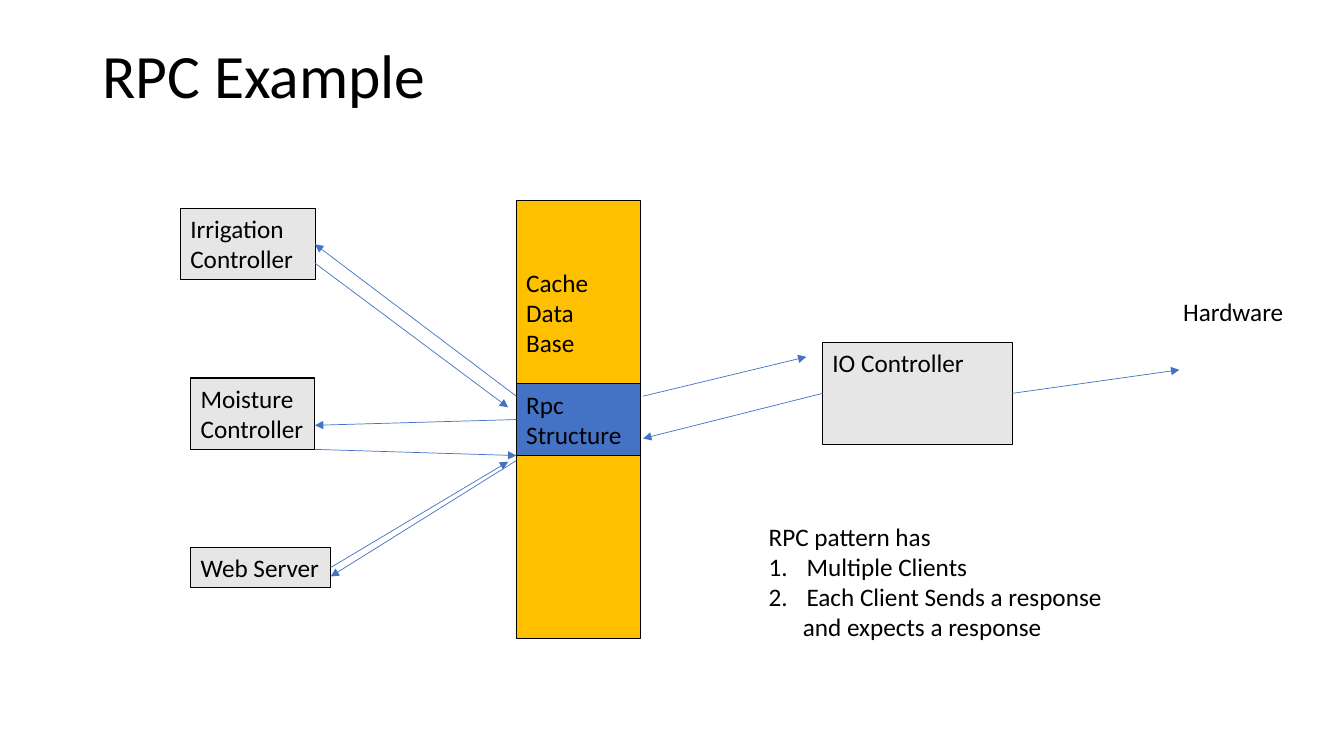
"""Build the RPC example slide: clients, shared database, controller and hardware."""
from lxml import etree
from pptx import Presentation
from pptx.dml.color import RGBColor
from pptx.enum import shapes, text
from pptx.oxml.ns import qn
from pptx.util import Pt

BLACK, GREY, GOLD, BLUE = "000000", "E7E6E6", "FFC000", "4472C4"


def paint(color, code):
    color.rgb = RGBColor.from_string(code)


def write(frame, lines, size=18, top=3.6):
    frame.word_wrap = True
    frame.vertical_anchor = text.MSO_ANCHOR.TOP
    frame.margin_top, frame.margin_right = Pt(top), 0
    frame.text = "\n".join(lines)
    for par in frame.paragraphs:
        par.alignment = text.PP_ALIGN.LEFT
        par.font.name, par.font.size = "Calibri", Pt(size)
        paint(par.font.color, BLACK)


deck = Presentation()
deck.slide_width, deck.slide_height = Pt(960), Pt(540)
slide = deck.slides.add_slide(deck.slide_layouts[6])

labels = [
    (66, 28.8, 828, 104.4, 44, ["RPC Example"]),
    (542, 368.6, 270, 94.3, 18, [
        "RPC pattern has", "Multiple Clients",
        "Each Client Sends a response", "and expects a response"]),
    (838, 208.1, 92, 28.8, 18, ["Hardware"]),
]
for x, y, w, h, size, lines in labels:
    label = slide.shapes.add_textbox(Pt(x), Pt(y), Pt(w), Pt(h))
    write(label.text_frame, lines, size)
    if size == 44:
        label.text_frame.paragraphs[0].line_spacing = 0.9
    if len(lines) > 1:
        notes = label.text_frame.paragraphs

for par in notes[1:3]:
    prop = par._p.get_or_add_pPr()
    prop.set("marL", str(Pt(27)))
    prop.set("indent", str(-Pt(27)))
    etree.SubElement(prop, qn("a:buFont"), typeface="+mj-lt")
    etree.SubElement(prop, qn("a:buAutoNum"), type="arabicPeriod")
notes[3]._p.get_or_add_pPr().set("marL", str(Pt(24.4)))

boxes = [
    (128.9, 149, 96.2, 51, GREY, 3.6, ["Irrigation", "Controller"]),
    (136.2, 270, 88.8, 51, GREY, 3.6, ["Moisture", "Controller"]),
    (136.2, 391, 100, 28.8, GREY, 3.6, ["Web Server"]),
    (368.8, 143.3, 88.8, 312.5, GOLD, 47.5, ["Cache", "Data", "Base"]),
    (368.8, 274.2, 88.8, 51, BLUE, 3.6, ["Rpc", "Structure"]),
    (587.5, 244.8, 135.4, 72.7, GREY, 3.6, ["IO Controller"]),
]
for x, y, w, h, fill, top, lines in boxes:
    box = slide.shapes.add_shape(
        shapes.MSO_SHAPE.RECTANGLE, Pt(x), Pt(y), Pt(w), Pt(h))
    box.shadow.inherit = False
    box.fill.solid()
    paint(box.fill.fore_color, fill)
    paint(box.line.color, BLACK)
    box.line.width = Pt(0.75)
    write(box.text_frame, lines, top=top)

arrows = [
    (225, 188, 363, 291), (368.8, 283, 225, 174.5),
    (225, 321, 368.8, 325.4), (368.8, 299.7, 225, 303.8),
    (236.2, 405.4, 363, 329.8), (368.8, 329, 236.2, 411.8),
    (587.5, 281, 459.4, 313.2), (459.4, 283, 576, 254.9),
    (722.9, 281, 842.4, 264.2),
]
for ends in arrows:
    arrow = slide.shapes.add_connector(
        shapes.MSO_CONNECTOR.STRAIGHT, *[Pt(end) for end in ends])
    paint(arrow.line.color, BLUE)
    arrow.line.width = Pt(0.5)
    etree.SubElement(arrow.line._get_or_add_ln(), qn("a:tailEnd"), type="triangle")
    etree.SubElement(arrow._element.spPr, qn("a:effectLst"))

deck.save("out.pptx")
